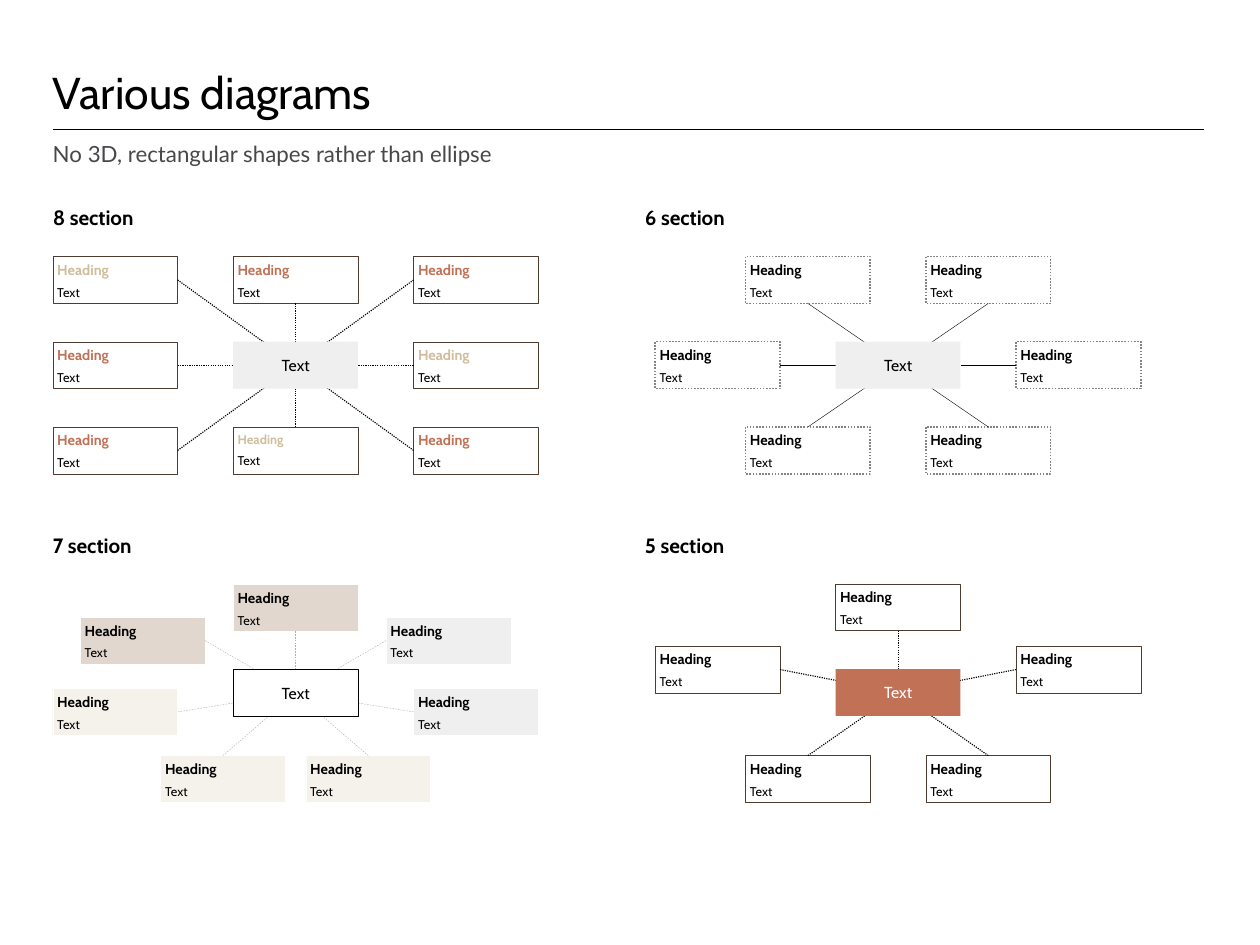
"""Build a slide with four hub-and-spoke diagrams of 8, 6, 7 and 5 sections."""
from lxml.etree import SubElement
from pptx import Presentation
from pptx.dml.color import RGBColor
from pptx.enum.dml import MSO_LINE
from pptx.enum.shapes import MSO_CONNECTOR, MSO_SHAPE
from pptx.enum.text import MSO_ANCHOR, MSO_AUTO_SIZE, PP_ALIGN
from pptx.oxml.ns import qn
from pptx.util import Cm, Pt

BLACK = RGBColor(0x00, 0x00, 0x00)
WHITE = RGBColor(0xFF, 0xFF, 0xFF)
SLATE = RGBColor(0x46, 0x47, 0x49)
GREY = RGBColor(0x80, 0x84, 0x88)
SILVER = RGBColor(0xAE, 0xB0, 0xB3)
PALE = RGBColor(0xEF, 0xEF, 0xF0)
BROWN = RGBColor(0x4D, 0x3C, 0x2F)
TERRACOTTA = RGBColor(0xC0, 0x71, 0x56)
SAND = RGBColor(0xCF, 0xBD, 0x9B)
CREAM = RGBColor(0xF5, 0xF2, 0xEB)
TAUPE = RGBColor(0xE2, 0xD7, 0xCF)

TOP, LEFT, BOTTOM, RIGHT = range(4)
BOX_WIDTH, BOX_HEIGHT = 2.77, 1.04
ROW = 1.89
MARGIN, RIGHT_HALF, CONTENT_WIDTH = 1.17, 14.3, 25.53


def write_text(shape, text, size, color=BLACK, font="Cabin", bold=False,
               align=PP_ALIGN.LEFT, anchor=MSO_ANCHOR.TOP, inset=0, before=0):
    frame = shape.text_frame
    frame.word_wrap = True
    frame.auto_size = MSO_AUTO_SIZE.NONE
    frame.vertical_anchor = anchor
    frame.margin_left = frame.margin_right = Cm(inset)
    frame.margin_top = frame.margin_bottom = Cm(inset)
    paragraph = frame.add_paragraph() if frame.text else frame.paragraphs[0]
    paragraph.alignment = align
    paragraph.space_before = Pt(before)
    run = paragraph.add_run()
    run.text = text
    run.font.name, run.font.size, run.font.bold = font, Pt(size), bold
    run.font.color.rgb = color
    return paragraph


def add_box(shapes, left, top, fill, line):
    box = shapes.add_shape(MSO_SHAPE.RECTANGLE, Cm(left), Cm(top), Cm(BOX_WIDTH), Cm(BOX_HEIGHT))
    box.shadow.inherit = False
    if fill is None:
        box.fill.background()
    else:
        box.fill.solid()
        box.fill.fore_color.rgb = fill
    if line is None:
        box.line.fill.background()
    else:
        color, width, dash = line
        box.line.color.rgb = color
        box.line.width = Pt(width)
        box.line.dash_style = dash
    return box


presentation = Presentation()
presentation.slide_width, presentation.slide_height = Cm(27.94), Cm(20.96)
slide = presentation.slides.add_slide(presentation.slide_layouts.get_by_name("Comparison"))
shapes = slide.shapes
title, *section_titles = slide.placeholders

title.left, title.top, title.width, title.height = Cm(MARGIN), Cm(0), Cm(CONTENT_WIDTH), Cm(2.62)
paragraph = write_text(title, "Various diagrams", 28, anchor=MSO_ANCHOR.BOTTOM)
paragraph.line_spacing = Pt(32)

rule = shapes.add_connector(MSO_CONNECTOR.STRAIGHT, Cm(MARGIN), Cm(2.87),
                            Cm(MARGIN + CONTENT_WIDTH), Cm(2.87))
rule.line.color.rgb = BLACK
rule.line.width = Pt(0.75)
SubElement(rule._element.spPr, qn("a:effectLst"))

subtitle = shapes.add_textbox(Cm(MARGIN), Cm(3.12), Cm(CONTENT_WIDTH), Cm(0.76))
write_text(subtitle, "No 3D, rectangular shapes rather than ellipse", 14, SLATE, font="Lato")

section_names = [("8 section", MARGIN, 4.55), ("6 section", RIGHT_HALF, 4.55),
                 ("7 section", MARGIN, 11.81), ("5 section", RIGHT_HALF, 11.81)]
for placeholder, (name, left, top) in zip(section_titles, section_names):
    placeholder.left, placeholder.top = Cm(left), Cm(top)
    placeholder.width, placeholder.height = Cm(12.34), Cm(0.99)
    paragraph = write_text(placeholder, name, 13, bold=True)
    properties = paragraph._p.get_or_add_pPr()
    properties.set("marL", "0")
    properties.set("indent", "0")
    SubElement(properties, qn("a:buNone"))

thin_brown = (BROWN, 0.25, MSO_LINE.SOLID)
black_dots = (BLACK, 0.75, MSO_LINE.ROUND_DOT)
diagrams = [
    dict(hub=(5.17, 7.58), hub_fill=PALE, hub_line=None, hub_text=BLACK,
         box_line=thin_brown, spoke=black_dots,
         boxes=[(-4, -ROW, RIGHT, None, SAND, 9), (0, -ROW, BOTTOM, None, TERRACOTTA, 9),
                (4, -ROW, LEFT, None, TERRACOTTA, 9), (-4, 0, RIGHT, None, TERRACOTTA, 9),
                (4, 0, LEFT, None, SAND, 9), (-4, ROW, RIGHT, None, TERRACOTTA, 9),
                (0, ROW, TOP, None, SAND, 8), (4, ROW, LEFT, None, TERRACOTTA, 9)]),
    dict(hub=(18.53, 7.58), hub_fill=PALE, hub_line=None, hub_text=BLACK,
         box_line=(GREY, 1, MSO_LINE.ROUND_DOT), spoke=(BLACK, 0.25, MSO_LINE.SOLID),
         boxes=[(-2, -ROW, BOTTOM, None, BLACK, 9), (2, -ROW, BOTTOM, None, BLACK, 9),
                (-4, 0, RIGHT, None, BLACK, 9), (4, 0, LEFT, None, BLACK, 9),
                (-2, ROW, TOP, None, BLACK, 9), (2, ROW, TOP, None, BLACK, 9)]),
    dict(hub=(5.17, 14.85), hub_fill=WHITE, hub_line=(BLACK, 0.5, MSO_LINE.SOLID),
         hub_text=BLACK, box_line=(WHITE, 0.25, MSO_LINE.SOLID),
         spoke=(SILVER, 0.25, MSO_LINE.DASH),
         boxes=[(0, -ROW, BOTTOM, TAUPE, BLACK, 9), (-3.39, -1.16, RIGHT, TAUPE, BLACK, 9),
                (3.39, -1.16, LEFT, PALE, BLACK, 9), (-4, 0.42, RIGHT, CREAM, BLACK, 9),
                (4, 0.42, LEFT, PALE, BLACK, 9), (-1.61, 1.91, TOP, CREAM, BLACK, 9),
                (1.61, 1.91, TOP, CREAM, BLACK, 9)]),
    dict(hub=(18.53, 14.84), hub_fill=TERRACOTTA, hub_line=None, hub_text=WHITE,
         box_line=thin_brown, spoke=black_dots,
         boxes=[(0, -ROW, BOTTOM, WHITE, BLACK, 9), (-4, -0.51, RIGHT, WHITE, BLACK, 9),
                (4, -0.51, LEFT, WHITE, BLACK, 9), (-2, 1.92, TOP, WHITE, BLACK, 9),
                (2, 1.92, TOP, WHITE, BLACK, 9)]),
]

for diagram in diagrams:
    hub_left, hub_top = diagram["hub"]
    center = Cm(hub_left + BOX_WIDTH / 2), Cm(hub_top + BOX_HEIGHT / 2)
    color, width, dash = diagram["spoke"]
    aligned_spokes = []
    for across, down, side, fill, heading_color, heading_size in diagram["boxes"]:
        box = add_box(shapes, hub_left + across, hub_top + down, fill, diagram["box_line"])
        write_text(box, "Heading", heading_size, heading_color, bold=True, inset=0.1)
        write_text(box, "Text", 8, inset=0.1, before=4)
        spoke = shapes.add_connector(MSO_CONNECTOR.STRAIGHT, *center, *center)
        spoke.begin_connect(box, side)
        spoke.line.color.rgb = color
        spoke.line.width = Pt(width)
        spoke.line.dash_style = dash
        SubElement(spoke._element.spPr, qn("a:effectLst"))
        if across == 0 or down == 0:
            aligned_spokes.append((spoke, (side + 2) % 4))
    hub = add_box(shapes, hub_left, hub_top, diagram["hub_fill"], diagram["hub_line"])
    write_text(hub, "Text", 10, diagram["hub_text"], align=PP_ALIGN.CENTER,
               anchor=MSO_ANCHOR.MIDDLE)
    for spoke, hub_side in aligned_spokes:
        spoke.end_connect(hub, hub_side)

presentation.save("out.pptx")
